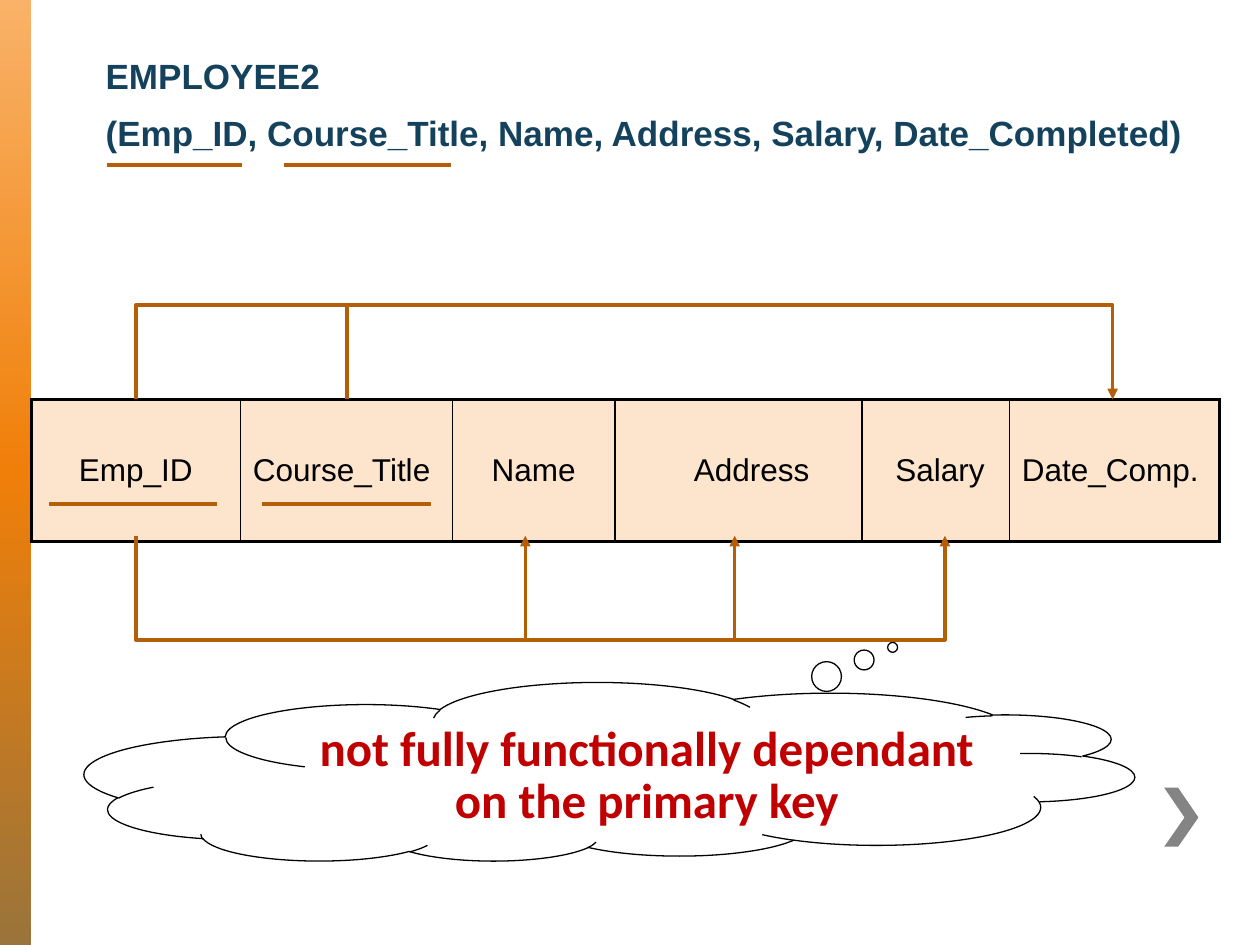
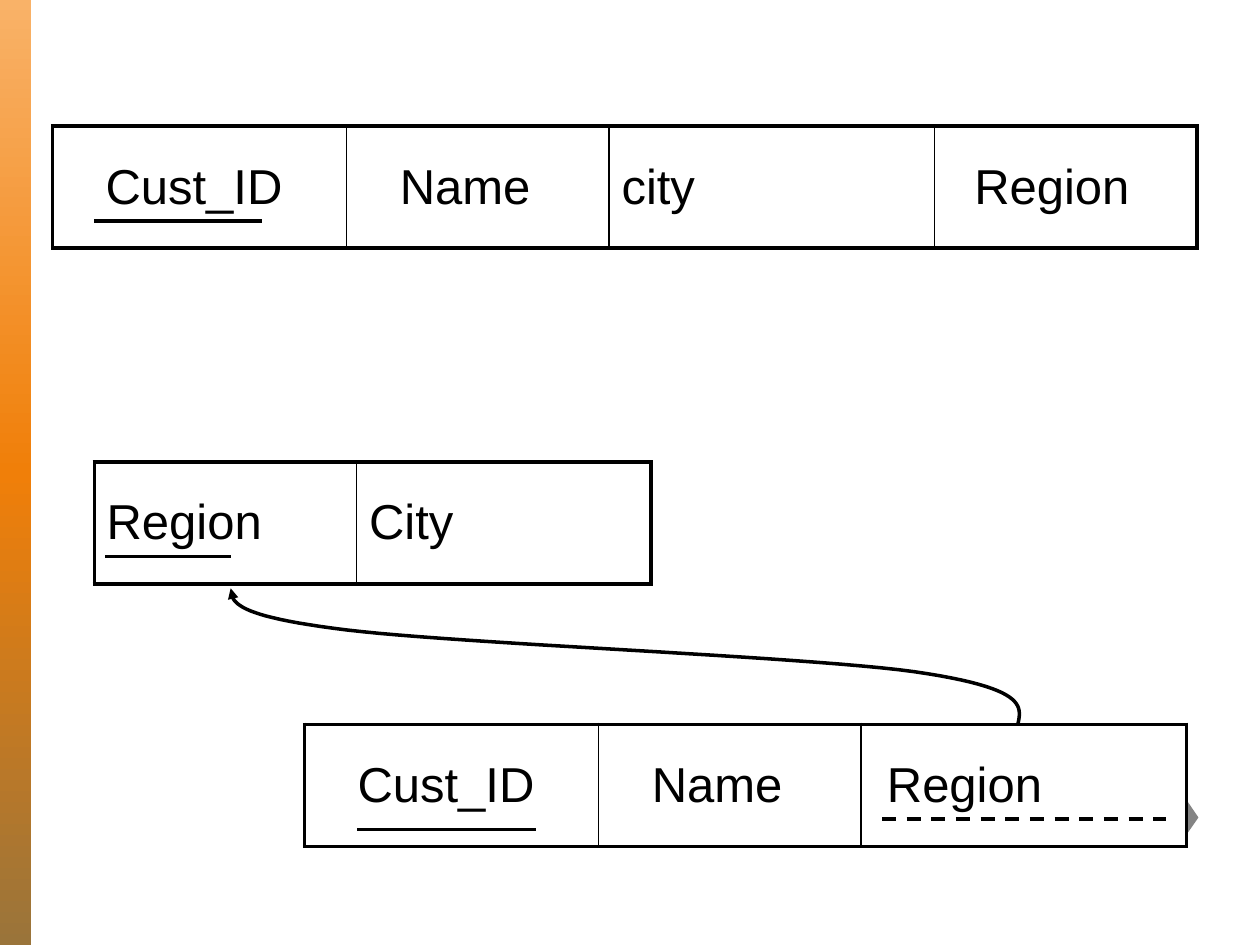
from lxml.etree import SubElement
from pptx import Presentation
from pptx.dml.color import RGBColor
from pptx.enum.dml import MSO_LINE
from pptx.enum.shapes import MSO_CONNECTOR, MSO_SHAPE
from pptx.enum.text import MSO_ANCHOR, MSO_AUTO_SIZE, PP_ALIGN
from pptx.oxml.ns import qn
from pptx.util import Cm, Pt

# Shared look
ORANGE, BLACK, WHITE = "B45F07", "000000", "FFFFFF"
PEACH, NAVY, RED, GREY = "FDE5CD", "14425D", "C00000", "848484"
BAND = [(0, "F9B268"), (50, "F07F09"), (100, "9A743A")]
CHEVRON = [(23.75, 15.88), (23.47, 15.88), (23.88, 16.48),
           (23.47, 17.07), (23.75, 17.07), (24.16, 16.48)]
PAD = 0.25  # cell side margin, cm

# Slide 1: dependencies inside EMPLOYEE2 (lengths in cm)
TITLE = ["EMPLOYEE2",
         "(Emp_ID, Course_Title, Name, Address, Salary, Date_Completed)"]
NOTE = "not fully functionally dependant on the primary key"
# text, column width, extra indent, centred
EMPLOYEE = [("Emp_ID", 4.22, 0, True), ("Course_Title", 4.27, 0, False),
            ("Name", 3.28, 0, True), ("Address", 4.98, 0.53, True),
            ("Salary", 2.97, 0.18, True), ("Date_Comp.", 4.24, 0, False)]
# left, right, y
EMPLOYEE_KEYS = [(0.99, 4.37, 10.16), (5.28, 8.69, 10.16),
                 (2.16, 4.88, 3.33), (5.72, 9.09, 3.33)]
KEY_X, COURSE_X, NAME_X, ADDRESS_X, SALARY_X, DATE_X = 2.74, 6.99, 10.59, 14.81, 19.05, 22.43
ROW_TOP, ROW_FOOT, UPPER_Y, LOWER_Y = 8.05, 10.8, 6.15, 12.9

# Slide 2: customer table split in two
ID_W, NAME_W, CITY_W = 5.93, 5.29, 6.56
CUST_ID, NAME = ("Cust_ID", ID_W, 0.82, False), ("Name", NAME_W, 0.82, False)
# left, top, cells
CUSTOMER_TABLES = [
    (1.06, 2.54, [CUST_ID, NAME, ("city", CITY_W, 0, False),
                  ("Region", NAME_W, 0.55, False)]),
    (1.9, 9.31, [("Region", NAME_W, 0, False), ("City", ID_W, 0, False)]),
    (6.14, 14.6, [CUST_ID, NAME, ("Region", CITY_W, 0.27, False)]),
]
CUSTOMER_KEYS = [(1.9, 5.28, 4.45), (2.12, 4.66, 11.22), (7.2, 10.8, 16.72)]
FOREIGN_KEY = (17.78, 23.5, 16.51)
# Bezier chain from the foreign key to the Region key
LINK = [(20.52, 14.6), (20.6, 14.22), (20.68, 13.87), (18.42, 13.54),
        (16.15, 13.23), (9.27, 12.98), (6.99, 12.7),
        (4.7, 12.42), (4.67, 12.14), (4.65, 11.86)]


def rgb(value):
    return RGBColor.from_string(value)


def write(tf, lines, size, color=BLACK, font="Arial", bold=False,
          align=PP_ALIGN.LEFT, spacing=None, gap=0):
    for i, line in enumerate(lines):
        p = tf.add_paragraph() if i else tf.paragraphs[0]
        p.alignment = align
        p.line_spacing = spacing
        if i:
            p.space_before = Pt(gap)
        r = p.add_run()
        r.text = line
        f = r.font
        f.name, f.size, f.bold, f.color.rgb = font, Pt(size), bold, rgb(color)


def stroke(sp, color, arrow=False, dash=False):
    sp.line.color.rgb = rgb(color)
    sp.line.width = Pt(2)
    if dash:
        sp.line.dash_style = MSO_LINE.DASH
    if arrow:
        SubElement(sp.line._get_or_add_ln(), qn("a:tailEnd"), type="triangle")


def add_line(s, start, end, color, **style):
    c = s.shapes.add_connector(MSO_CONNECTOR.STRAIGHT,
                               *(Cm(v) for v in (*start, *end)))
    SubElement(c._element.spPr, qn("a:effectLst"))
    stroke(c, color, **style)


def underline(s, keys, color, **style):
    for left, right, y in keys:
        add_line(s, (left, y), (right, y), color, **style)


def add_outline(s, points, close=False):
    pts = [(Cm(x), Cm(y)) for x, y in points]
    fb = s.shapes.build_freeform(*pts[0])
    fb.add_line_segments(pts[1:], close=close)
    sp = fb.convert_to_shape()
    sp.shadow.inherit = False
    return sp


def add_arrow_line(s, points, color):
    sp = add_outline(s, points)
    sp.fill.background()
    stroke(sp, color, arrow=True)


def curve(points, steps=24):
    """Points along a chain of cubic Bezier curves."""
    out = [points[0]]
    for k in range(0, len(points) - 1, 3):
        ctrl = points[k:k + 4]
        for n in range(1, steps + 1):
            t = n / steps
            weights = ((1 - t) ** 3, 3 * t * (1 - t) ** 2, 3 * t * t * (1 - t), t ** 3)
            out.append(tuple(sum(w * c[axis] for w, c in zip(weights, ctrl))
                             for axis in (0, 1)))
    return out


def set_borders(cell, widths):
    tcPr = cell._tc.get_or_add_tcPr()
    for side, width in zip("LRTB", widths):
        ln = SubElement(tcPr, qn(f"a:ln{side}"), w=str(Pt(width)))
        SubElement(SubElement(ln, qn("a:solidFill")), qn("a:srgbClr"), val=BLACK)


def add_row_table(s, left, top, height, cells, size, fill):
    width = sum(cell[1] for cell in cells)
    table = s.shapes.add_table(1, len(cells), Cm(left), Cm(top),
                               Cm(width), Cm(height)).table
    table.first_row = table.horz_banding = False
    last = len(cells) - 1
    for i, (text, col_width, indent, centred) in enumerate(cells):
        table.columns[i].width = Cm(col_width)
        cell = table.cell(0, i)
        set_borders(cell, (1 if i else 2.25, 1 if i < last else 2.25, 2.25, 2.25))
        cell.fill.solid()
        cell.fill.fore_color.rgb = rgb(fill)
        cell.vertical_anchor = MSO_ANCHOR.MIDDLE
        cell.margin_left = Cm(PAD + indent)
        write(cell.text_frame, [text], size,
              align=PP_ALIGN.CENTER if centred else PP_ALIGN.LEFT)


def new_slide(prs):
    s = prs.slides.add_slide(prs.slide_layouts[6])
    # Gradient band on the left
    band = s.shapes.add_shape(MSO_SHAPE.RECTANGLE, 0, 0, Cm(0.63), prs.slide_height)
    band.shadow.inherit = False
    band.line.fill.background()
    band.fill.gradient()
    band.fill.gradient_angle = 270
    stops = band._element.spPr.find(qn("a:gradFill")).find(qn("a:gsLst"))
    for old in list(stops):
        stops.remove(old)
    for pos, color in BAND:
        SubElement(SubElement(stops, qn("a:gs"), pos=str(pos * 1000)),
                   qn("a:srgbClr"), val=color)
    # Chevron at the lower right
    chevron = add_outline(s, CHEVRON, close=True)
    chevron.fill.solid()
    chevron.fill.fore_color.rgb = rgb(GREY)
    chevron.line.fill.background()
    return s


def employee_slide(prs):
    s = new_slide(prs)
    tf = s.shapes.add_textbox(Cm(1.88), Cm(1.07), Cm(22.73), Cm(2.24)).text_frame
    tf.word_wrap = True
    tf.auto_size = MSO_AUTO_SIZE.SHAPE_TO_FIT_TEXT
    write(tf, TITLE, 20, NAVY, bold=True, spacing=0.9, gap=11)
    add_row_table(s, 0.63, ROW_TOP, 2.87, EMPLOYEE, 18, PEACH)
    underline(s, EMPLOYEE_KEYS, ORANGE)

    # Full key to date completed, above the row
    add_arrow_line(s, [(KEY_X, ROW_TOP), (KEY_X, UPPER_Y),
                       (DATE_X, UPPER_Y), (DATE_X, ROW_TOP)], ORANGE)
    add_line(s, (COURSE_X, ROW_TOP), (COURSE_X, UPPER_Y), ORANGE)
    # Emp_ID alone to the other fields, below the row
    add_arrow_line(s, [(KEY_X, ROW_FOOT), (KEY_X, LOWER_Y),
                       (SALARY_X, LOWER_Y), (SALARY_X, ROW_FOOT)], ORANGE)
    for x in (NAME_X, ADDRESS_X):
        add_line(s, (x, LOWER_Y), (x, ROW_FOOT), ORANGE, arrow=True)

    # Upside-down thought cloud with upright text
    cloud = s.shapes.add_shape(MSO_SHAPE.CLOUD_CALLOUT, Cm(1.7), Cm(13.77),
                               Cm(21.16), Cm(3.6))
    cloud.shadow.inherit = False
    cloud.rotation = 180
    cloud.adjustments[0], cloud.adjustments[1] = -0.27, 0.7
    cloud.fill.solid()
    cloud.fill.fore_color.rgb = rgb(WHITE)
    cloud.line.color.rgb = rgb(BLACK)
    cloud.line.width = Pt(0.75)
    tf = cloud.text_frame
    tf.word_wrap = True
    tf.vertical_anchor = MSO_ANCHOR.MIDDLE
    tf._txBody.bodyPr.set("rot", str(180 * 60000))
    write(tf, [NOTE], 28, RED, "Calibri", bold=True,
          align=PP_ALIGN.CENTER, spacing=0.9)


def customer_slide(prs):
    s = new_slide(prs)
    for left, top, cells in CUSTOMER_TABLES:
        add_row_table(s, left, top, 2.46, cells, 28, WHITE)
    underline(s, CUSTOMER_KEYS, BLACK)
    underline(s, [FOREIGN_KEY], BLACK, dash=True)
    add_arrow_line(s, curve(LINK), BLACK)


def main():
    prs = Presentation()
    prs.slide_width, prs.slide_height = Cm(25.4), Cm(19.05)
    employee_slide(prs)
    customer_slide(prs)
    prs.save("out.pptx")


if __name__ == "__main__":
    main()
